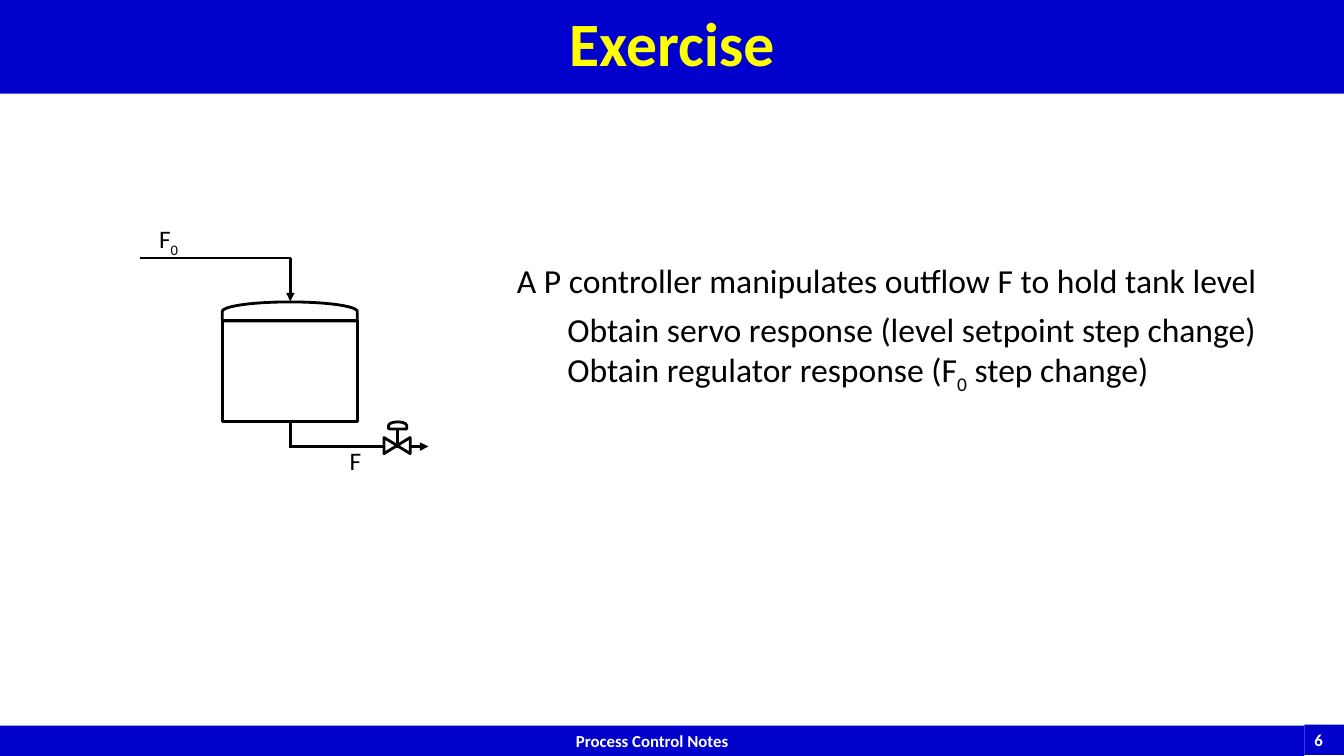
from lxml import etree
from pptx import Presentation
from pptx.dml.color import RGBColor
from pptx.enum.shapes import MSO_CONNECTOR, MSO_SHAPE
from pptx.enum.text import MSO_ANCHOR, MSO_AUTO_SIZE, PP_ALIGN
from pptx.oxml.ns import qn
from pptx.util import Inches, Pt

CELL = Inches(0.1)
COLUMNS, ROWS = 133.33, 75
FONT = "Calibri"
COLORS = {"band": "0000CC", "title": "FFFF00", "ink": "000000", "paper": "FFFFFF"}
RECT = MSO_SHAPE.RECTANGLE
DOME = MSO_SHAPE.FLOWCHART_DELAY
VALVE = MSO_SHAPE.FLOWCHART_COLLATE
STRAIGHT = MSO_CONNECTOR.STRAIGHT
LEFT, CENTER = PP_ALIGN.LEFT, PP_ALIGN.CENTER
TOP, MIDDLE = MSO_ANCHOR.TOP, MSO_ANCHOR.MIDDLE
FIT = MSO_AUTO_SIZE.SHAPE_TO_FIT_TEXT
BOTTOM_SIDE = 2


def cells(*counts):
    """Turn counts of grid cells into lengths."""
    return [round(count * CELL) for count in counts]


def color(name):
    """Look up a named colour."""
    return RGBColor.from_string(COLORS[name])


def write(shape, *lines, size=18, ink="ink", bold=False, align=LEFT, anchor=TOP,
          wrap=False, fit=True, spacing=None, after=0, indent=0):
    """Fill a shape with lines; underscores enclose subscripts, indent starts at line two."""
    frame = shape.text_frame
    frame.word_wrap = wrap
    frame.vertical_anchor = anchor
    if fit:
        frame.auto_size = FIT
    for number, line in enumerate(lines):
        paragraph = frame.add_paragraph() if number else frame.paragraphs[0]
        paragraph.alignment = align
        paragraph.line_spacing = spacing
        if number:
            paragraph.level = 1
            paragraph._p.get_or_add_pPr().set("marL", str(round(indent * CELL)))
        else:
            paragraph.space_after = Pt(after)
        for part, wording in enumerate(line.split("_")):
            run = paragraph.add_run()
            run.text = wording
            run.font.name, run.font.size, run.font.bold = FONT, Pt(size), bold
            run.font.color.rgb = color(ink)
            if part % 2:
                run._r.get_or_add_rPr().set("baseline", "-25000")


def band(slide, left, top, width, height, text, **style):
    """Draw a filled bar with bold text."""
    bar = slide.shapes.add_shape(RECT, *cells(left, top, width, height))
    bar.shadow.inherit = False
    bar.fill.solid()
    bar.fill.fore_color.rgb = color("band")
    bar.line.fill.background()
    write(bar, text, bold=True, **style)


def label(slide, left, top, width, height, *lines, **style):
    """Place unframed text."""
    write(slide.shapes.add_textbox(*cells(left, top, width, height)), *lines, **style)


def vessel(slide, kind, left, top, width, height, turn=0, fill=None):
    """Draw an outlined piece of equipment."""
    part = slide.shapes.add_shape(kind, *cells(left, top, width, height))
    part.shadow.inherit = False
    part.rotation = turn
    if fill:
        part.fill.solid()
        part.fill.fore_color.rgb = color(fill)
    else:
        part.fill.background()
    part.line.color.rgb = color("ink")
    part.line.width = Pt(2)
    return part


def pipe(slide, start, end, arrow=False, source=None):
    """Draw a straight pipe, optionally with an arrowhead or leaving a vessel's bottom."""
    line = slide.shapes.add_connector(STRAIGHT, *cells(*start, *end))
    line.line.color.rgb = color("ink")
    line.line.width = Pt(2)
    if arrow:
        etree.SubElement(line.line._get_or_add_ln(), qn("a:tailEnd"), type="triangle")
    etree.SubElement(line._element.spPr, qn("a:effectLst"))
    if source:
        line.begin_connect(source, BOTTOM_SIDE)


def draw_tank(slide):
    """Draw the tank with its inflow, outflow and labels."""
    axis, inflow, outflow = 28.8, 25.6, 44.3
    tank = vessel(slide, RECT, axis - 6.7, 31.8, 13.4, 10)
    vessel(slide, DOME, 27.8, 24.2, 1.9, 13.4, turn=270)
    pipe(slide, (13.9, inflow), (axis + 0.1, inflow))
    pipe(slide, (axis, inflow), (axis, 29.9), arrow=True)
    pipe(slide, (axis, 41.8), (axis, outflow + 0.1), source=tank)
    pipe(slide, (axis, outflow), (42.5, outflow), arrow=True)
    label(slide, 14.8, 21.7, 4, 4, "F_0_")
    label(slide, 33.7, 43.7, 3.2, 4, "F")


def draw_valve(slide):
    """Draw the control valve on the outflow."""
    vessel(slide, VALVE, 38.6, 42.9, 1.6, 2.6, turn=270, fill="paper")
    vessel(slide, DOME, 39.1, 41.3, 0.7, 1.8, turn=270)
    pipe(slide, (39.4, 44.2), (39.4, 42.6))


def main():
    """Build and save the slide."""
    deck = Presentation()
    deck.slide_width, deck.slide_height = cells(COLUMNS, ROWS)
    slide = deck.slides.add_slide(deck.slide_layouts[6])
    band(slide, 0, 72, 129.4, 3, "Process Control Notes",
         size=12, ink="paper", align=CENTER, wrap=True)
    band(slide, 129.4, 71.9, 4, 3, "6", size=12, ink="paper")
    band(slide, 0, 0, COLUMNS, 9.3, "Exercise", size=44, ink="title",
         align=CENTER, anchor=MIDDLE, wrap=True, fit=False, spacing=0.9)
    draw_tank(slide)
    draw_valve(slide)
    label(slide, 50.3, 25.3, 77.5, 14,
          "A P controller manipulates outflow F to hold tank level",
          "Obtain servo response (level setpoint step change)",
          "Obtain regulator response (F_0_ step change)",
          size=24, after=6, indent=5)
    deck.save("out.pptx")


if __name__ == "__main__":
    main()
